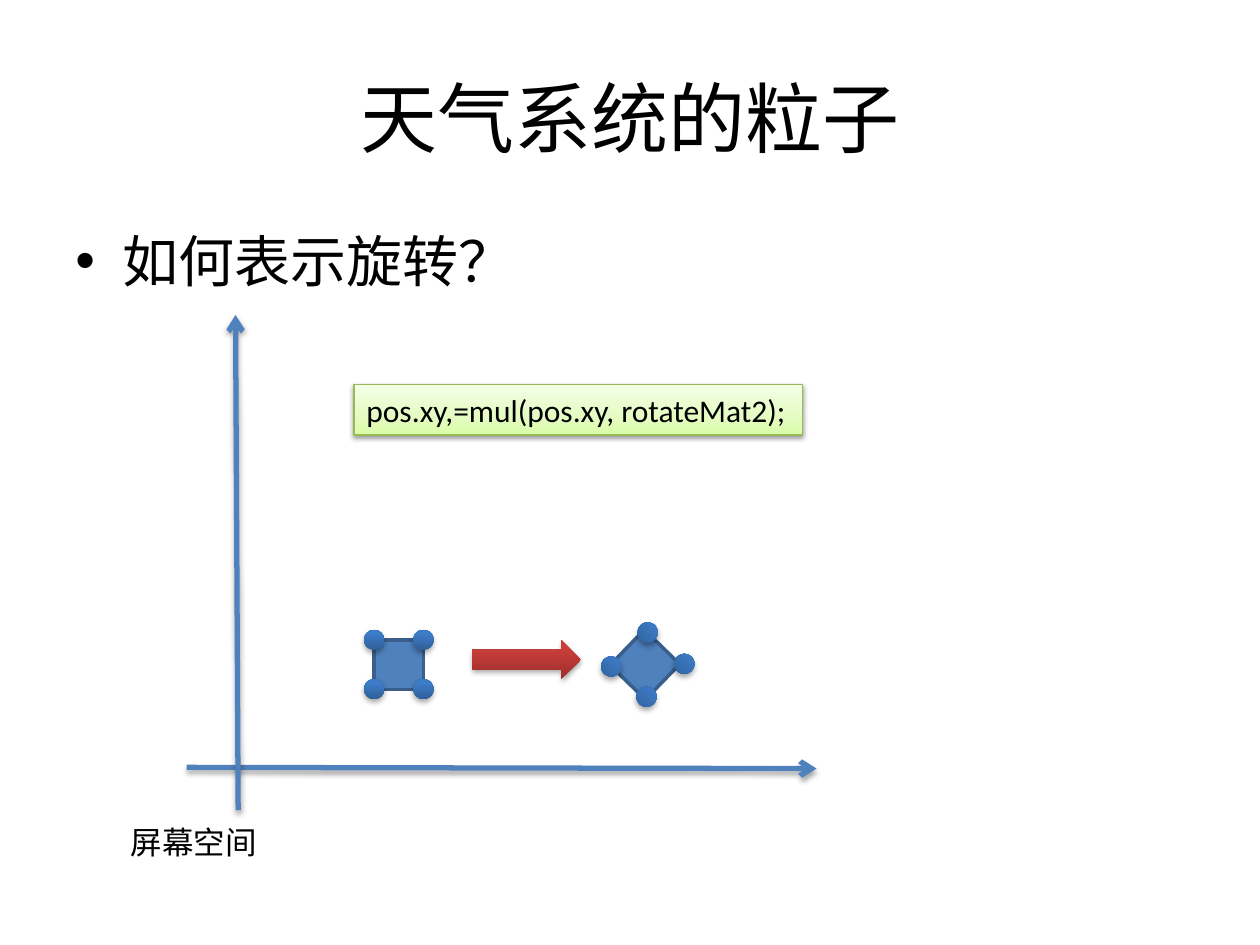
from dataclasses import dataclass
from itertools import product
from typing import NamedTuple

from lxml.etree import SubElement
from pptx import Presentation
from pptx.dml.color import RGBColor as RGB
from pptx.enum.shapes import MSO_CONNECTOR as CONN, MSO_SHAPE as SHAPE
from pptx.enum.text import MSO_ANCHOR as ANCHOR, MSO_AUTO_SIZE as AUTO, PP_ALIGN as ALIGN
from pptx.oxml.ns import qn
from pptx.util import Pt


@dataclass(frozen=True)
class Theme:
    font: str = "Calibri"
    text: str = "000000"
    blue: str = "4F81BD"
    outline: str = "3A5F8C"
    green_line: str = "98B955"
    dot: tuple = ((0, "2F5F99"), (80, "3D7CC7"), (100, "3A7CCB"))
    red: tuple = ((0, "9C2F2D"), (80, "CB3E3A"), (100, "CE3B37"))
    green: tuple = ((0, "DAFDA7"), (35, "E4FCC2"), (100, "F5FFE7"))
    title_size: int = 44
    body_size: int = 32
    label_size: int = 18


class Box(NamedTuple):
    x: float
    y: float
    w: float
    h: float


class Particle(NamedTuple):
    center: tuple[float, float]
    dots: list[tuple[float, float]]  # vertex centres
    rotation: float = 0


THEME = Theme()
SIDE, DOT = 28.2, 11.5


def write(tf, text: str, *, size: float, align=ALIGN.LEFT, anchor=ANCHOR.TOP,
          wrap: bool = True, auto=AUTO.NONE, bullet: str = "", indent: float = 0) -> None:
    """Put one formatted paragraph in a text frame."""
    tf.word_wrap, tf.auto_size, tf.vertical_anchor = wrap, auto, anchor
    p = tf.paragraphs[0]
    p.alignment = align
    if bullet:
        p_pr = p._p.get_or_add_pPr()
        p_pr.set("marL", str(Pt(indent)))
        p_pr.set("indent", str(-Pt(indent)))
        SubElement(p_pr, qn("a:buFont"), typeface="Arial")
        SubElement(p_pr, qn("a:buChar"), char=bullet)
    r = p.add_run()
    r.text = text
    r.font.name, r.font.size = THEME.font, Pt(size)
    r.font.color.rgb = RGB.from_string(THEME.text)


def add_shadow(sp, alpha: int = 35, distance: float = 1.8) -> None:
    """Give a shape or connector a soft shadow straight below it."""
    sp_pr = sp._element.spPr
    effects = sp_pr.find(qn("a:effectLst"))
    if effects is None:
        effects = SubElement(sp_pr, qn("a:effectLst"))
    shadow = SubElement(effects, qn("a:outerShdw"), blurRad=str(Pt(3.1)),
                        dist=str(Pt(distance)), dir="5400000", rotWithShape="0")
    color = SubElement(shadow, qn("a:srgbClr"), val="000000")
    SubElement(color, qn("a:alpha"), val=str(alpha * 1000))


def add_shape(s, kind, box: Box, fill, line: str = "", width: float = 0, rotation: float = 0):
    """Add a shape; fill is one colour or a tuple of gradient stops."""
    sp = s.shapes.add_shape(kind, *map(Pt, box))
    sp.rotation = rotation
    sp.shadow.inherit = False
    if isinstance(fill, str):
        sp.fill.solid()
        sp.fill.fore_color.rgb = RGB.from_string(fill)
    else:
        sp.fill.gradient()
        sp.fill.gradient_angle = 90
        stops = sp._element.spPr.find(qn("a:gradFill")).find(qn("a:gsLst"))
        for old in list(stops):
            stops.remove(old)
        for pos, color in fill:
            stop = SubElement(stops, qn("a:gs"), pos=str(pos * 1000))
            SubElement(stop, qn("a:srgbClr"), val=color)
    if line:
        sp.line.color.rgb = RGB.from_string(line)
        sp.line.width = Pt(width)
    else:
        sp.line.fill.background()
    return sp


def add_axis(s, start: tuple[float, float], end: tuple[float, float]) -> None:
    cx = s.shapes.add_connector(CONN.STRAIGHT, *map(Pt, start + end))
    cx.line.color.rgb = RGB.from_string(THEME.blue)
    cx.line.width = Pt(3)
    SubElement(cx.line._ln, qn("a:tailEnd"), type="arrow")
    add_shadow(cx)


def add_particle(s, particle: Particle) -> None:
    """Draw a square with a dot on each vertex."""
    def centered(point: tuple[float, float], size: float) -> Box:
        return Box(point[0] - size / 2, point[1] - size / 2, size, size)

    add_shape(s, SHAPE.RECTANGLE, centered(particle.center, SIDE), THEME.blue,
              THEME.outline, 2, particle.rotation)
    for dot in particle.dots:
        add_shadow(add_shape(s, SHAPE.OVAL, centered(dot, DOT), THEME.dot,
                             rotation=particle.rotation))


def main() -> None:
    prs = Presentation()
    prs.slide_width, prs.slide_height = Pt(720), Pt(540)
    s = prs.slides.add_slide(prs.slide_layouts[5])

    # Title and question
    title = s.shapes.title
    title.left, title.top, title.width, title.height = map(Pt, Box(36, 21.6, 648, 90))
    write(title.text_frame, "天气系统的粒子", size=THEME.title_size,
          align=ALIGN.CENTER, anchor=ANCHOR.MIDDLE)
    body = s.shapes.add_textbox(*map(Pt, Box(36, 126, 648, 356.4)))
    write(body.text_frame, "如何表示旋转？", size=THEME.body_size, bullet="•", indent=27)

    # Screen-space axes
    add_axis(s, (106.6, 438.5), (466.6, 439.2))
    add_axis(s, (136.1, 463), (134.6, 180))
    label = s.shapes.add_textbox(*map(Pt, Box(67.7, 466.6, 87.1, 29)))
    write(label.text_frame, "屏幕空间", size=THEME.label_size, wrap=False,
          auto=AUTO.SHAPE_TO_FIT_TEXT)

    # Rotation formula
    formula = add_shape(s, SHAPE.RECTANGLE, Box(202.3, 219.6, 256.3, 29),
                        THEME.green, THEME.green_line, 0.75)
    add_shadow(formula, alpha=38, distance=1.6)
    write(formula.text_frame, "pos.xy,=mul(pos.xy, rotateMat2);", size=THEME.label_size,
          wrap=False, auto=AUTO.SHAPE_TO_FIT_TEXT)

    # Particle before and after rotation
    cx, cy = 227.9, 379.8
    corners = [(cx + dx * SIDE / 2, cy + dy * SIDE / 2) for dx, dy in product((-1, 1), repeat=2)]
    add_particle(s, Particle((cx, cy), corners))
    add_particle(s, Particle((368.5, cy), [(349.2, 380.9), (391, 379.4), (370.1, 361.4),
                                           (369.4, 398.2)], rotation=44.2))
    add_shadow(add_shape(s, SHAPE.RIGHT_ARROW, Box(270, 365.8, 61.9, 22.3), THEME.red))

    prs.save("out.pptx")


if __name__ == "__main__":
    main()
